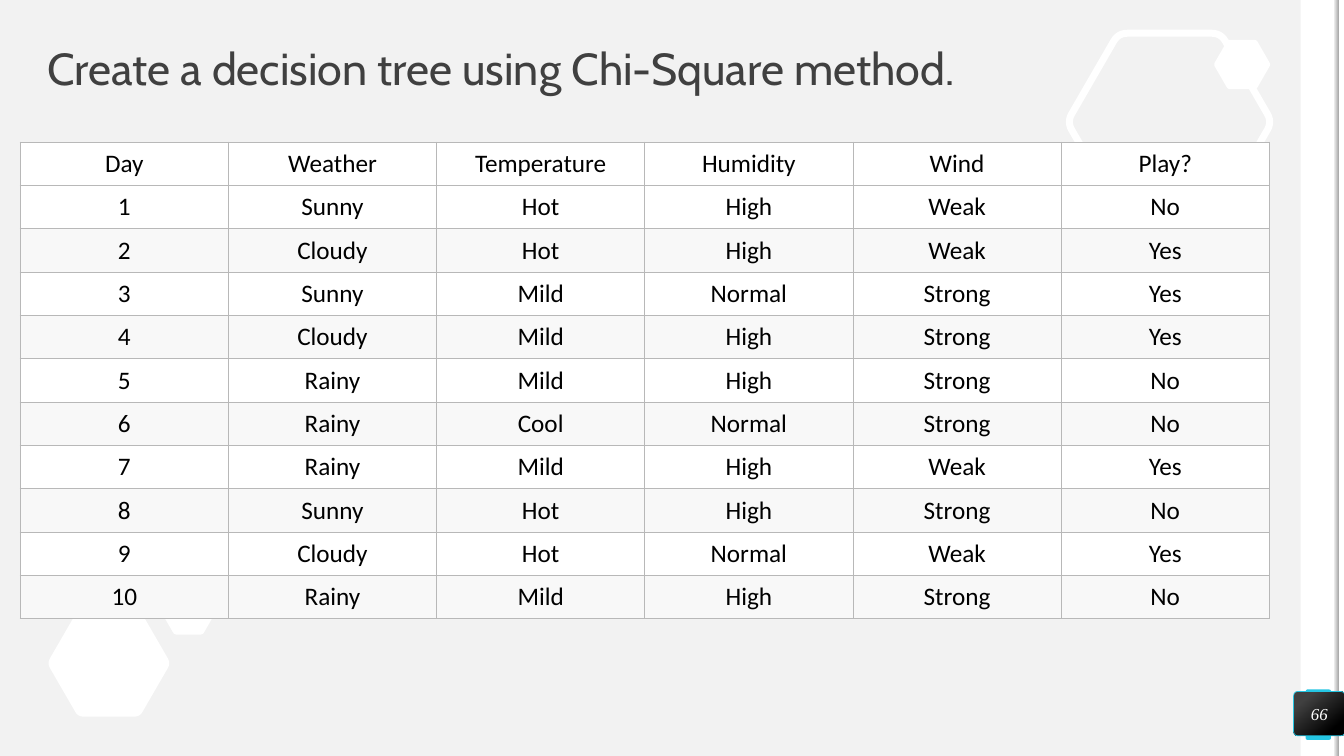
import dataclasses
import math

import lxml.etree
import pptx
import pptx.dml.color
import pptx.enum.shapes
import pptx.enum.text
import pptx.oxml.ns
import pptx.util

Inches = pptx.util.Inches
Pt = pptx.util.Pt
Shape = pptx.enum.shapes.MSO_SHAPE
Align = pptx.enum.text.PP_ALIGN
Middle = pptx.enum.text.MSO_ANCHOR.MIDDLE


def rgb(value):
    return pptx.dml.color.RGBColor.from_string(value)


@dataclasses.dataclass(frozen=True)
class Theme:
    background: str = "F2F2F2"
    white: str = "FFFFFF"
    accent: str = "25C6E3"
    band: str = "F8F8F8"
    border: str = "B8B8B8"
    title: str = "404040"
    black: str = "000000"
    edge: str = "A6A6A6"
    title_font: str = "Cabin"
    table_font: str = "Calibri"
    number_font: str = "Times New Roman"
    title_size: int = 32
    table_size: int = 18
    number_size: int = 12


class SlideBuilder:
    def __init__(self, slide, theme):
        self.slide = slide
        self.theme = theme
        slide.background.fill.solid()
        slide.background.fill.fore_color.rgb = rgb(theme.background)

    def paint(self, shape, fill=None, line=None, width=0):
        shape.shadow.inherit = False
        if fill:
            shape.fill.solid()
            shape.fill.fore_color.rgb = rgb(fill)
        else:
            shape.fill.background()
        if line:
            shape.line.color.rgb = rgb(line)
            shape.line.width = Pt(width)
        else:
            shape.line.fill.background()
        return shape

    def box(self, kind, left, top, width, height, fill, line=None, line_width=0, corner=None):
        shape = self.slide.shapes.add_shape(
            kind, Inches(left), Inches(top), Inches(width), Inches(height))
        if corner is not None:
            shape.adjustments[0] = corner
        return self.paint(shape, fill, line, line_width)

    def gradient(self, shape, stops, angle):
        shape.fill.gradient()
        shape.fill.gradient_angle = angle
        for stop, (position, color) in zip(shape.fill.gradient_stops, stops):
            stop.position = position
            stop.color.rgb = rgb(color)

    def hexagon(self, center_x, center_y, height, fill=None, line=None, line_width=0):
        radius = height / math.sqrt(3)
        corners = [(center_x + radius * math.cos(math.radians(60 * i)),
                    center_y + radius * math.sin(math.radians(60 * i))) for i in range(6)]
        rounding, steps = 0.09, 6
        outline = []
        for i, corner in enumerate(corners):
            before, after = corners[i - 1], corners[(i + 1) % 6]
            for step in range(steps + 1):
                t = step / steps
                outline.append(tuple(
                    Inches(c + rounding * ((1 - t) ** 2 * (b - c) + t ** 2 * (a - c)))
                    for b, c, a in zip(before, corner, after)))
        builder = self.slide.shapes.build_freeform(*outline[0], scale=1.0)
        builder.add_line_segments(outline[1:], close=True)
        return self.paint(builder.convert_to_shape(), fill, line, line_width)

    def style_text(self, frame, text, font, size, color, align, italic=None):
        paragraph = frame.paragraphs[0]
        paragraph.text = text
        paragraph.alignment = align
        paragraph.font.name = font
        paragraph.font.size = Pt(size)
        paragraph.font.color.rgb = rgb(color)
        paragraph.font.italic = italic
        return paragraph

    def fit_frame(self, frame):
        frame.word_wrap = True
        frame.vertical_anchor = Middle
        frame.margin_left = frame.margin_right = Inches(0)
        frame.margin_top = frame.margin_bottom = Inches(0)
        return frame

    def title(self, text, left, top, width, height):
        heading = self.slide.shapes.add_textbox(
            Inches(left), Inches(top), Inches(width), Inches(height))
        paragraph = self.style_text(self.fit_frame(heading.text_frame), text,
                                    self.theme.title_font, self.theme.title_size,
                                    self.theme.title, Align.LEFT)
        paragraph.line_spacing = 0.9

    def cell_borders(self, cell):
        properties = cell._tc.get_or_add_tcPr()
        qn = pptx.oxml.ns.qn
        for index, side in enumerate(("a:lnL", "a:lnR", "a:lnT", "a:lnB")):
            line = lxml.etree.Element(qn(side), w=str(Pt(0.75)))
            fill = lxml.etree.SubElement(line, qn("a:solidFill"))
            lxml.etree.SubElement(fill, qn("a:srgbClr"), val=self.theme.border)
            properties.insert(index, line)

    def table(self, rows, left, top, width, row_height):
        theme = self.theme
        grid = self.slide.shapes.add_table(
            len(rows), len(rows[0]), Inches(left), Inches(top),
            Inches(width), Inches(row_height * len(rows))).table
        grid.first_row = grid.horz_banding = False
        for r, values in enumerate(rows):
            banded = r > 0 and r % 2 == 0
            for c, value in enumerate(values):
                cell = grid.cell(r, c)
                cell.fill.solid()
                cell.fill.fore_color.rgb = rgb(theme.band if banded else theme.white)
                self.style_text(cell.text_frame, value, theme.table_font, theme.table_size,
                                theme.black, Align.CENTER)
                cell.vertical_anchor = Middle
                cell.margin_left = cell.margin_right = Inches(0.14)
                cell.margin_top = cell.margin_bottom = Inches(0.06)
                self.cell_borders(cell)

    def page_number(self, text, left, top, width, height):
        theme = self.theme
        badge = self.box(Shape.ROUNDED_RECTANGLE, left, top, width, height,
                         theme.black, theme.accent, 0.5, 0.095)
        self.gradient(badge, [(0.2, theme.title), (0.82, theme.black)], 310)
        self.style_text(self.fit_frame(badge.text_frame), text, theme.number_font,
                        theme.number_size, theme.white, Align.CENTER, italic=True)


OBSERVATIONS = """Day Weather Temperature Humidity Wind Play?
1 Sunny Hot High Weak No
2 Cloudy Hot High Weak Yes
3 Sunny Mild Normal Strong Yes
4 Cloudy Mild High Strong Yes
5 Rainy Mild High Strong No
6 Rainy Cool Normal Strong No
7 Rainy Mild High Weak Yes
8 Sunny Hot High Strong No
9 Cloudy Hot Normal Weak Yes
10 Rainy Mild High Strong No"""


def main():
    deck = pptx.Presentation()
    deck.slide_width, deck.slide_height = Inches(13.33), Inches(7.5)
    theme = Theme()
    page = SlideBuilder(deck.slides.add_slide(deck.slide_layouts[6]), theme)

    page.box(Shape.RECTANGLE, 12.9, 0, 0.39, 7.5, theme.white)
    page.box(Shape.ROUNDED_RECTANGLE, 12.95, 6.84, 0.25, 0.5, theme.accent, corner=0.074)
    page.box(Shape.RECTANGLE, 13.28, 0, 0.05, 7.5, theme.white)
    side_shade = page.box(Shape.RECTANGLE, 13.23, 0, 0.05, 7.5, theme.edge)
    page.gradient(side_shade, [(0, theme.background), (1, theme.edge)], 0)

    page.hexagon(1.08, 6.58, 1.06, theme.white)
    page.hexagon(11.6, 1.21, 1.76, line=theme.white, line_width=5)
    page.hexagon(1.87, 6.05, 0.49, theme.white)
    page.hexagon(12.32, 0.64, 0.49, theme.white)

    page.title("Create a decision tree using Chi-Square method.", 0.47, 0.47, 12.39, 0.47)
    page.table([row.split() for row in OBSERVATIONS.splitlines()], 0.2, 1.41, 12.39, 0.43)
    page.page_number("66", 12.83, 6.86, 0.51, 0.44)
    deck.save("out.pptx")


if __name__ == "__main__":
    main()
